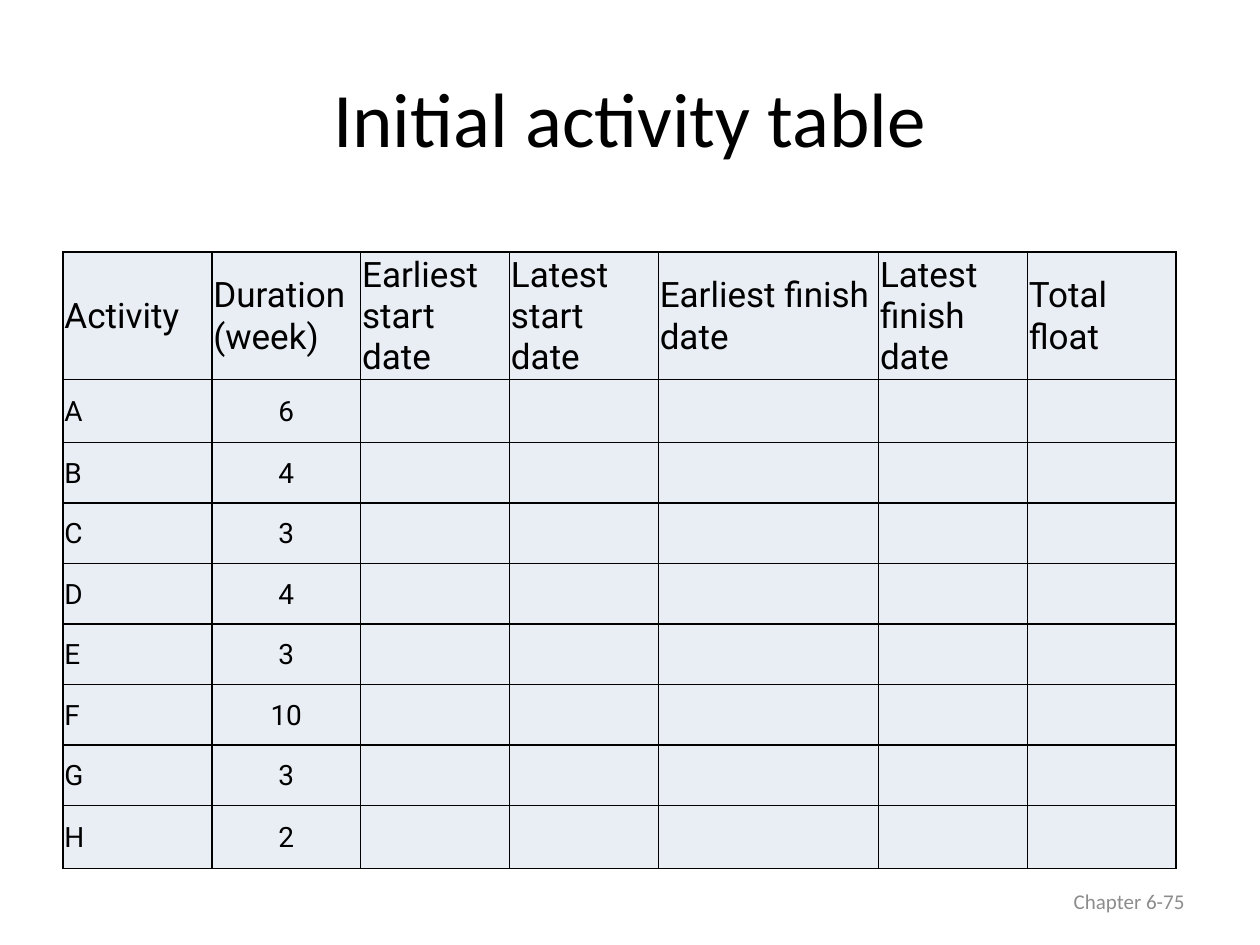
from lxml.etree import SubElement as Sub
from pptx import Presentation
from pptx.dml.color import RGBColor as Rgb
from pptx.enum.text import MSO_ANCHOR as Anchor, PP_ALIGN as Align
from pptx.oxml.ns import qn
from pptx.util import Cm, Pt

TITLE = "Initial activity table"
FOOT = "Chapter 6-75"
HEADS = ["Activity", "Duration (week)", "Earliest start date", "Latest start date",
         "Earliest finish date", "Latest finish date", "Total float"]
WEEKS = {"A": 6, "B": 4, "C": 3, "D": 4, "E": 3, "F": 10, "G": 3, "H": 2}

THEME = {
    "ink": Rgb.from_string("000000"), "grey": Rgb.from_string("8C8C8C"),
    "cell": Rgb.from_string("E9EDF4"), "line": "000000", "rule": Pt(1),
    "text": "Calibri", "grid": "Roboto",
    "title": Pt(44), "head": Pt(20), "body": Pt(16), "foot": Pt(12),
}

# Centimetres
WIDE, SLIM = 4.44, 3
COLS = [WIDE if head == "Earliest finish date" else SLIM for head in HEADS]
HEAD, EDGE, ROW = 2.44, 1.27, 1.22
ROWS = [HEAD, EDGE] + [ROW] * (len(WEEKS) - 2) + [EDGE]
LEFT, TOP = 1.27, 5.08


def write(para, text, size, font, color, align):
    para.alignment = align
    run = para.add_run()
    run.text = text
    run.font.size = size
    run.font.name = font
    run.font.color.rgb = color


def label(slide, box, text, size, color, align):
    frame = slide.shapes.add_textbox(*map(Cm, box)).text_frame
    frame.word_wrap = True
    frame.vertical_anchor = Anchor.MIDDLE
    write(frame.paragraphs[0], text, size, THEME["text"], color, align)


def frame_cell(cell):
    """Give a cell its four borders, then its fill, as the schema orders them."""
    props = cell._tc.get_or_add_tcPr()
    for side in ("lnL", "lnR", "lnT", "lnB"):
        line = Sub(props, qn("a:" + side), w=str(THEME["rule"]))
        fill = Sub(line, qn("a:solidFill"))
        Sub(fill, qn("a:srgbClr"), val=THEME["line"])
    cell.fill.solid()
    cell.fill.fore_color.rgb = THEME["cell"]


def add_grid(slide):
    data = [HEADS] + [[name, str(weeks)] for name, weeks in WEEKS.items()]
    size = (sum(COLS), sum(ROWS))
    table = slide.shapes.add_table(len(ROWS), len(COLS),
                                   *map(Cm, (LEFT, TOP, *size))).table
    table.first_row = table.horz_banding = False
    for col, width in zip(table.columns, COLS):
        col.width = Cm(width)
    for row, height in zip(table.rows, ROWS):
        row.height = Cm(height)
    for r, texts in enumerate(data):
        for c in range(len(COLS)):
            cell = table.cell(r, c)
            frame_cell(cell)
            if c >= len(texts):
                continue
            cell.vertical_anchor = Anchor.MIDDLE
            cell.margin_left = cell.margin_right = cell.margin_top = Cm(0.03)
            cell.margin_bottom = 0
            align = Align.CENTER if r and c else Align.LEFT
            write(cell.text_frame.paragraphs[0], texts[c],
                  THEME["body" if r else "head"], THEME["grid"], THEME["ink"], align)


def main():
    deck = Presentation()
    deck.slide_width, deck.slide_height = Cm(25.4), Cm(19.05)
    slide = deck.slides.add_slide(deck.slide_layouts[6])
    label(slide, (1.27, 0.76, 22.86, 3.18), TITLE,
          THEME["title"], THEME["ink"], Align.CENTER)
    add_grid(slide)
    label(slide, (18.2, 17.66, 5.93, 1.01), FOOT,
          THEME["foot"], THEME["grey"], Align.RIGHT)
    deck.save("out.pptx")


if __name__ == "__main__":
    main()
